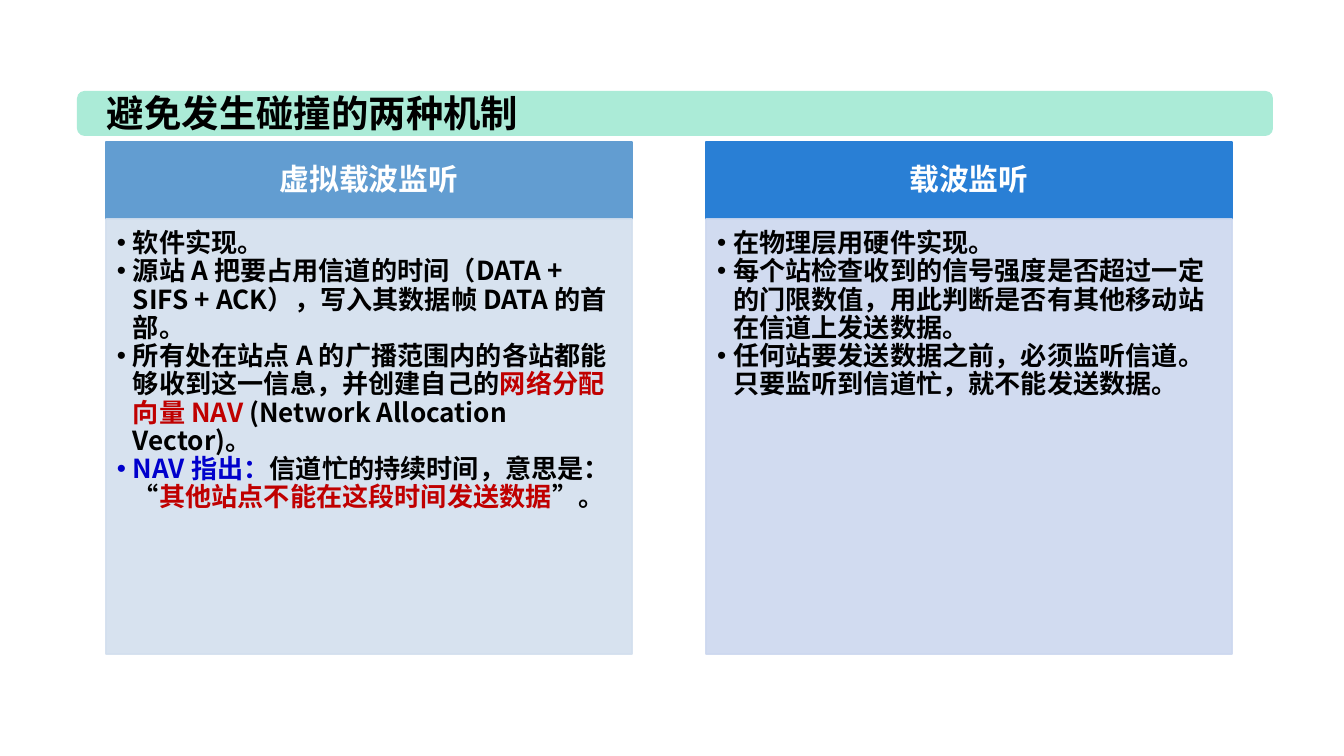
import pptx
import pptx.dml.color
import pptx.enum.shapes
import pptx.enum.text
import pptx.oxml.ns
import pptx.util
from lxml import etree

FONT = "Noto Sans CJK SC"
COLORS = {
    "black": "000000", "white": "FFFFFF", "red": "C00000", "blue": "0000CC",
    "mint": "ABEBD7", "sky": "629DD1", "royal": "297FD5",
    "pale sky": "D3DFEE", "pale royal": "CDD8EF",
}

TITLE = "避免发生碰撞的两种机制"
# Each bullet is a list of (text, color) spans.
COLUMNS = [
    {
        "heading": "虚拟载波监听", "fill": "sky", "body fill": "pale sky",
        "bullets": [
            [("软件实现。", "black")],
            [("源站 A 把要占用信道的时间（DATA + SIFS + ACK），写入其数据帧 DATA 的首部。", "black")],
            [("所有处在站点 A 的广播范围内的各站都能够收到这一信息，并创建自己的", "black"),
             ("网络分配向量 NAV ", "red"),
             ("(Network Allocation Vector)。", "black")],
            [("NAV 指出：", "blue"),
             ("信道忙的持续时间，意思是：“", "black"),
             ("其他站点不能在这段时间发送数据", "red"),
             ("”。", "black")],
        ],
    },
    {
        "heading": "载波监听", "fill": "royal", "body fill": "pale royal",
        "bullets": [
            [("在物理层用硬件实现。", "black")],
            [("每个站检查收到的信号强度是否超过一定的门限数值，用此判断是否有其他移动站在信道上发送数据。", "black")],
            [("任何站要发送数据之前，必须监听信道。只要监听到信道忙，就不能发送数据。", "black")],
        ],
    },
]

SLIDE_WIDTH, SLIDE_HEIGHT = 1344, 756
BAR = (77, 91, 1196, 45)
TITLE_BOX = (94, 83, 442, 59)
COLUMN_LEFT, COLUMN_TOP, COLUMN_WIDTH, COLUMN_STEP = 106, 142, 526, 600
HEADING_HEIGHT, BODY_HEIGHT = 77, 435
INDENT = 16

ALIGN = pptx.enum.text.PP_ALIGN
ANCHOR = pptx.enum.text.MSO_ANCHOR


def px(length):
    return pptx.util.Emu(round(length * 914400 / 134.4))


def rgb(color):
    return pptx.dml.color.RGBColor.from_string(COLORS[color])


def place(shape, box):
    shape.left, shape.top, shape.width, shape.height = map(px, box)


def paint(shape, color, opacity=100):
    """Give fill and outline the same color and opacity."""
    shape.fill.solid()
    shape.fill.fore_color.rgb = rgb(color)
    shape.line.color.rgb = rgb(color)
    shape.line.width = pptx.util.Pt(1)
    if opacity < 100:
        for tint in shape.element.spPr.iter(pptx.oxml.ns.qn("a:srgbClr")):
            etree.SubElement(tint, pptx.oxml.ns.qn("a:alpha"), val=str(opacity * 1000))


def write(shape, paragraphs, *, size, align=ALIGN.LEFT, anchor=ANCHOR.TOP,
          insets=(13, 7, 13, 7), spacing=0.9, bullet=None, wrap=True):
    """Fill a shape with paragraphs, each a list of (text, color) spans."""
    frame = shape.text_frame
    frame.word_wrap = wrap
    frame.auto_size = pptx.enum.text.MSO_AUTO_SIZE.NONE
    frame.vertical_anchor = anchor
    (frame.margin_left, frame.margin_top,
     frame.margin_right, frame.margin_bottom) = map(px, insets)
    for index, spans in enumerate(paragraphs):
        para = frame.add_paragraph() if index else frame.paragraphs[0]
        para.alignment = align
        para.line_spacing = spacing
        para.space_before = para.space_after = pptx.util.Pt(0)
        if bullet:
            para.level = 1
            properties = para._p.get_or_add_pPr()
            properties.set("marL", str(px(INDENT)))
            properties.set("indent", str(-px(INDENT)))
            etree.SubElement(properties, pptx.oxml.ns.qn("a:buChar"), char=bullet)
        for text, color in spans:
            span = para.add_run()
            span.text = text
            span.font.size = pptx.util.Pt(size)
            span.font.bold = True
            span.font.color.rgb = rgb(color)
            span.font.name = FONT
            etree.SubElement(span.font._element, pptx.oxml.ns.qn("a:ea"), typeface=FONT)


def main():
    deck = pptx.Presentation()
    deck.slide_width, deck.slide_height = px(SLIDE_WIDTH), px(SLIDE_HEIGHT)
    comparison_layout = deck.slide_layouts[4]
    page = deck.slides.add_slide(comparison_layout)
    title, *column_boxes = page.placeholders

    bar = page.shapes.add_shape(pptx.enum.shapes.MSO_SHAPE.ROUNDED_RECTANGLE,
                                *map(px, BAR))
    bar.shadow.inherit = False
    bar.fill.solid()
    bar.fill.fore_color.rgb = rgb("mint")
    bar.line.fill.background()
    title.element.addprevious(bar.element)

    place(title, TITLE_BOX)
    write(title, [[(TITLE, "black")]], size=20, anchor=ANCHOR.MIDDLE,
          spacing=1.0, wrap=False)

    for index, column in enumerate(COLUMNS):
        heading, body = column_boxes[2 * index:2 * index + 2]
        left = COLUMN_LEFT + index * COLUMN_STEP
        place(heading, (left, COLUMN_TOP, COLUMN_WIDTH, HEADING_HEIGHT))
        paint(heading, column["fill"])
        write(heading, [[(column["heading"], "white")]], size=16,
              align=ALIGN.CENTER, anchor=ANCHOR.MIDDLE, insets=(16, 9, 16, 9))
        place(body, (left, COLUMN_TOP + HEADING_HEIGHT, COLUMN_WIDTH, BODY_HEIGHT))
        paint(body, column["body fill"], opacity=90)
        write(body, column["bullets"], size=14, insets=(11, 11, 15, 16), bullet="•")

    deck.save("out.pptx")


if __name__ == "__main__":
    main()
